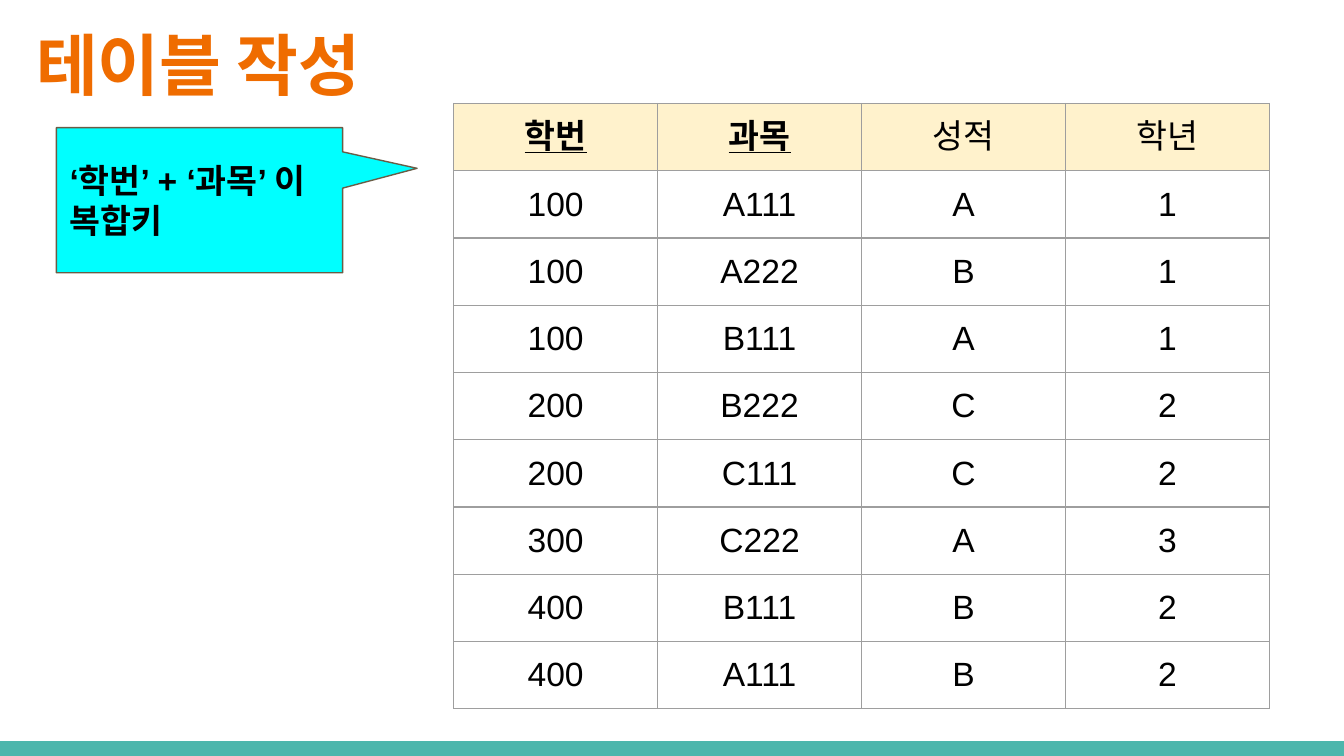
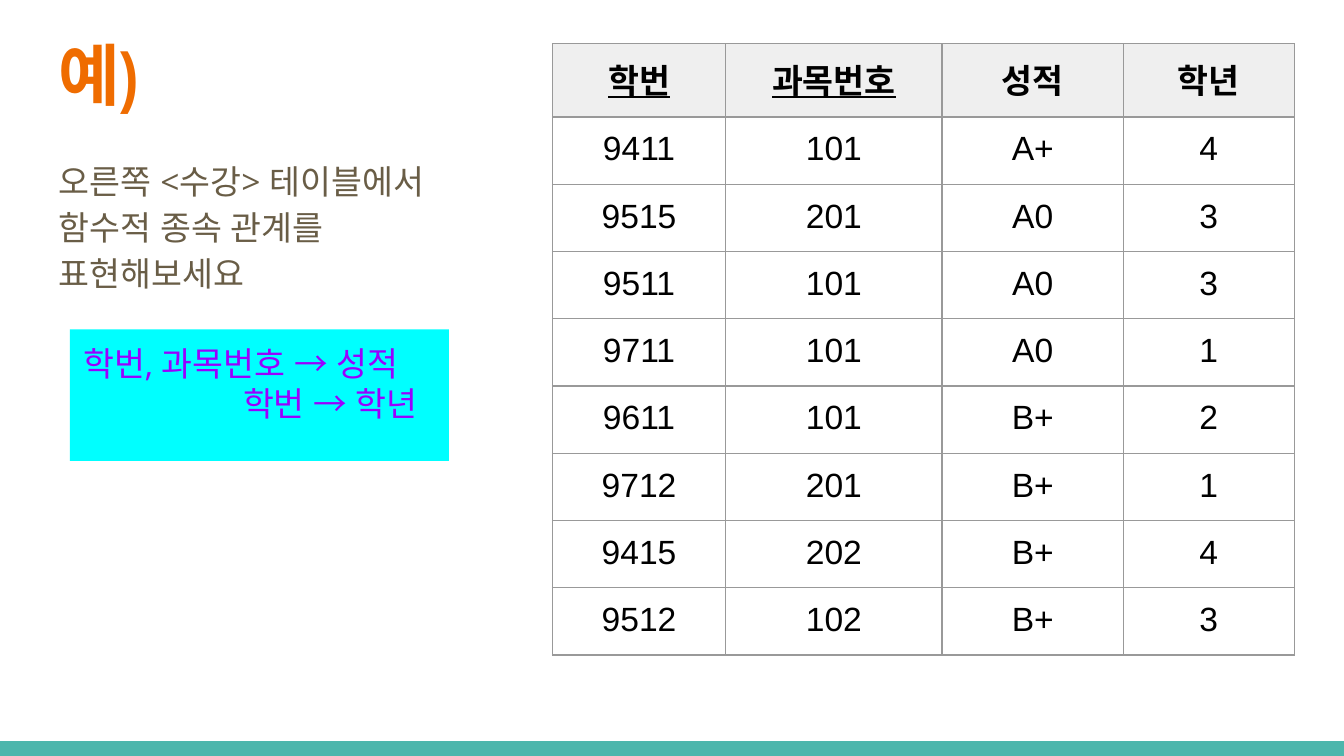
import pptx
import pptx.dml.color
import pptx.enum.shapes
import pptx.enum.text
import pptx.oxml.ns
import pptx.util
from lxml import etree

# The slide is a square grid: 100 columns by 56.25 rows.
COLUMNS, ROWS = 100, 56.25
UNIT = pptx.util.Inches(10) / COLUMNS
INSET = 1
BAND_HEIGHT = 1.1

TEAL, ORANGE, BROWN = "4DB6AC", "EF6C00", "695D46"
CYAN, PURPLE, BLACK = "00FFFF", "9900FF", "000000"
CREAM, PALE_GREY = "FFF2CC", "EFEFEF"
TITLE_FONT, BODY_FONT, TABLE_FONT = "Arial Narrow", "Open Sans", "Arial"
BODY_SIZE, TITLE_SIZE = 18, 36

SHAPES = pptx.enum.shapes.MSO_SHAPE
ANCHOR = pptx.enum.text.MSO_ANCHOR
CENTER = pptx.enum.text.PP_ALIGN.CENTER


def grid(*counts):
    """Turn counts of grid units into lengths."""
    return [pptx.util.Emu(round(count * UNIT)) for count in counts]


def colour(hex_string):
    """Return the colour for a hex string."""
    return pptx.dml.color.RGBColor.from_string(hex_string)


def add_run(paragraph, text, font, ink, size=BODY_SIZE, bold=False, underline=False):
    """Add one styled run, with the same font for Latin and Korean."""
    run = paragraph.add_run()
    run.text = text
    run.font.name = font
    run.font.size = pptx.util.Pt(size)
    run.font.bold = bold
    run.font.underline = underline
    run.font.color.rgb = colour(ink)
    latin = run.font._element.find(pptx.oxml.ns.qn("a:latin"))
    east_asian = etree.Element(pptx.oxml.ns.qn("a:ea"), typeface=font)
    latin.addnext(east_asian)


def write(frame, lines, anchor=ANCHOR.TOP, **style):
    """Write lines as paragraphs in a wrapped frame and return the paragraphs."""
    frame.word_wrap = True
    frame.vertical_anchor = anchor
    inset, = grid(INSET)
    frame.margin_left = frame.margin_right = inset
    frame.margin_top = frame.margin_bottom = inset
    for number, line in enumerate(lines):
        paragraph = frame.add_paragraph() if number else frame.paragraphs[0]
        paragraph.alignment = pptx.enum.text.PP_ALIGN.LEFT
        add_run(paragraph, line, **style)
    return frame.paragraphs


def add_text(slide, area, lines, **style):
    """Add a text box and return its paragraphs."""
    return write(slide.shapes.add_textbox(*grid(*area)).text_frame, lines, **style)


def add_panel(slide, preset, area, fill, outline=None):
    """Add a flat preset shape, outlined only when a line colour is given."""
    panel = slide.shapes.add_shape(preset, *grid(*area))
    panel.shadow.inherit = False
    panel.fill.solid()
    panel.fill.fore_color.rgb = colour(fill)
    if outline:
        panel.line.color.rgb = colour(outline)
        panel.line.width = pptx.util.Pt(0.75)
    else:
        panel.line.fill.background()
    return panel


def add_base(deck, title, area):
    """Start a slide with its footer band and title."""
    slide = deck.slides.add_slide(deck.slide_layouts[6])
    band = (0, ROWS - BAND_HEIGHT, COLUMNS, BAND_HEIGHT)
    add_panel(slide, SHAPES.RECTANGLE, band, TEAL)
    add_text(slide, area, [title], font=TITLE_FONT, ink=ORANGE,
             size=TITLE_SIZE, bold=True)
    return slide


def add_borders(cell, ink):
    """Draw a thin line on all four sides of a table cell."""
    properties = cell._tc.get_or_add_tcPr()
    for side in ("lnL", "lnR", "lnT", "lnB"):
        line = etree.SubElement(properties, pptx.oxml.ns.qn("a:" + side),
                                w=str(pptx.util.Pt(0.75)))
        fill = etree.SubElement(line, pptx.oxml.ns.qn("a:solidFill"))
        etree.SubElement(fill, pptx.oxml.ns.qn("a:srgbClr"), val=ink)


def fill_cell(cell, text, anchor, border, fill=None, spacing=None, **style):
    """Write, border and fill one centred table cell."""
    inset, = grid(INSET)
    cell.margin_left = cell.margin_right = inset
    cell.margin_top = cell.margin_bottom = inset
    cell.vertical_anchor = anchor
    paragraph = cell.text_frame.paragraphs[0]
    paragraph.alignment = CENTER
    if spacing:
        paragraph.line_spacing = spacing
    add_run(paragraph, text, TABLE_FONT, BLACK, **style)
    add_borders(cell, border)
    if fill:
        cell.fill.solid()
        cell.fill.fore_color.rgb = colour(fill)
    else:
        cell.fill.background()


def add_records(slide, corner, widths, heights, header, records, header_fill,
                border, bold_columns, anchor=ANCHOR.TOP, header_spacing=None):
    """Add a table whose first two header cells are the underlined key."""
    area = (*corner, sum(widths), sum(heights))
    table = slide.shapes.add_table(len(heights), len(widths), *grid(*area)).table
    table.first_row = table.horz_banding = False
    for column, width in zip(table.columns, grid(*widths)):
        column.width = width
    for row, height in zip(table.rows, grid(*heights)):
        row.height = height
    for number, name in enumerate(header):
        fill_cell(table.cell(0, number), name, anchor, border, header_fill,
                  header_spacing, bold=number < bold_columns, underline=number < 2)
    for row, record in enumerate(records, 1):
        for number, value in enumerate(record.split()):
            fill_cell(table.cell(row, number), value, anchor, border)


def build_table_slide(deck):
    """Build the slide on a table with a composite key."""
    slide = add_base(deck, "테이블 작성", (1.7, 0.7, 28.8, 7.7))
    grades = ["100 A111 A 1", "100 A222 B 1", "100 B111 A 1", "200 B222 C 2",
              "200 C111 C 2", "300 C222 A 3", "400 B111 B 2", "400 A111 B 2"]
    add_records(slide, (33.75, 7.7), [15.18] * 4, [4.2] * 9,
                ["학번", "과목", "성적", "학년"], grades, CREAM, "9E9E9E",
                bold_columns=2, anchor=ANCHOR.MIDDLE)
    key_note = add_panel(slide, SHAPES.RECTANGULAR_CALLOUT,
                         (4.2, 9.5, 21.3, 10.8), CYAN, BROWN)
    key_note.adjustments[0] = 0.76
    key_note.adjustments[1] = -0.22
    write(key_note.text_frame, ["‘학번’ + ‘과목’ 이", "복합키"],
          anchor=ANCHOR.MIDDLE, font=TABLE_FONT, ink=BLACK, bold=True)


def build_example_slide(deck):
    """Build the exercise on functional dependency, with its answer."""
    slide = add_base(deck, "예)", (3.4, 1.5, 27.7, 7.7))
    question = add_text(slide, (3.4, 10.5, 35.2, 17),
                        ["오른쪽 <수강> 테이블에서 함수적 종속 관계를 표현해보세요"],
                        font=BODY_FONT, ink=BROWN)[0]
    question.line_spacing = 1.15
    question.space_after = pptx.util.Pt(16)
    enrolments = ["9411 101 A+ 4", "9515 201 A0 3", "9511 101 A0 3", "9711 101 A0 1",
                  "9611 101 B+ 2", "9712 201 B+ 1", "9415 202 B+ 4", "9512 102 B+ 3"]
    add_records(slide, (41.1, 3.25), [12.9, 16.1, 13.5, 12.7], [4.2] + [2.4] * 8,
                ["학번", "과목번호", "성적", "학년"], enrolments, PALE_GREY, "999999",
                bold_columns=4, header_spacing=1.15)
    answer = add_panel(slide, SHAPES.RECTANGLE, (5.2, 24.5, 28.2, 9.8), CYAN)
    dependencies = write(answer.text_frame, ["학번, 과목번호 → 성적", "학번 → 학년"],
                         font=BODY_FONT, ink=PURPLE)
    indent, = grid(11.9)
    dependencies[1]._p.get_or_add_pPr().set("marL", str(indent))


def main():
    """Build both slides and save the deck."""
    deck = pptx.Presentation()
    deck.slide_width, deck.slide_height = grid(COLUMNS, ROWS)
    build_table_slide(deck)
    build_example_slide(deck)
    deck.save("out.pptx")


main()
